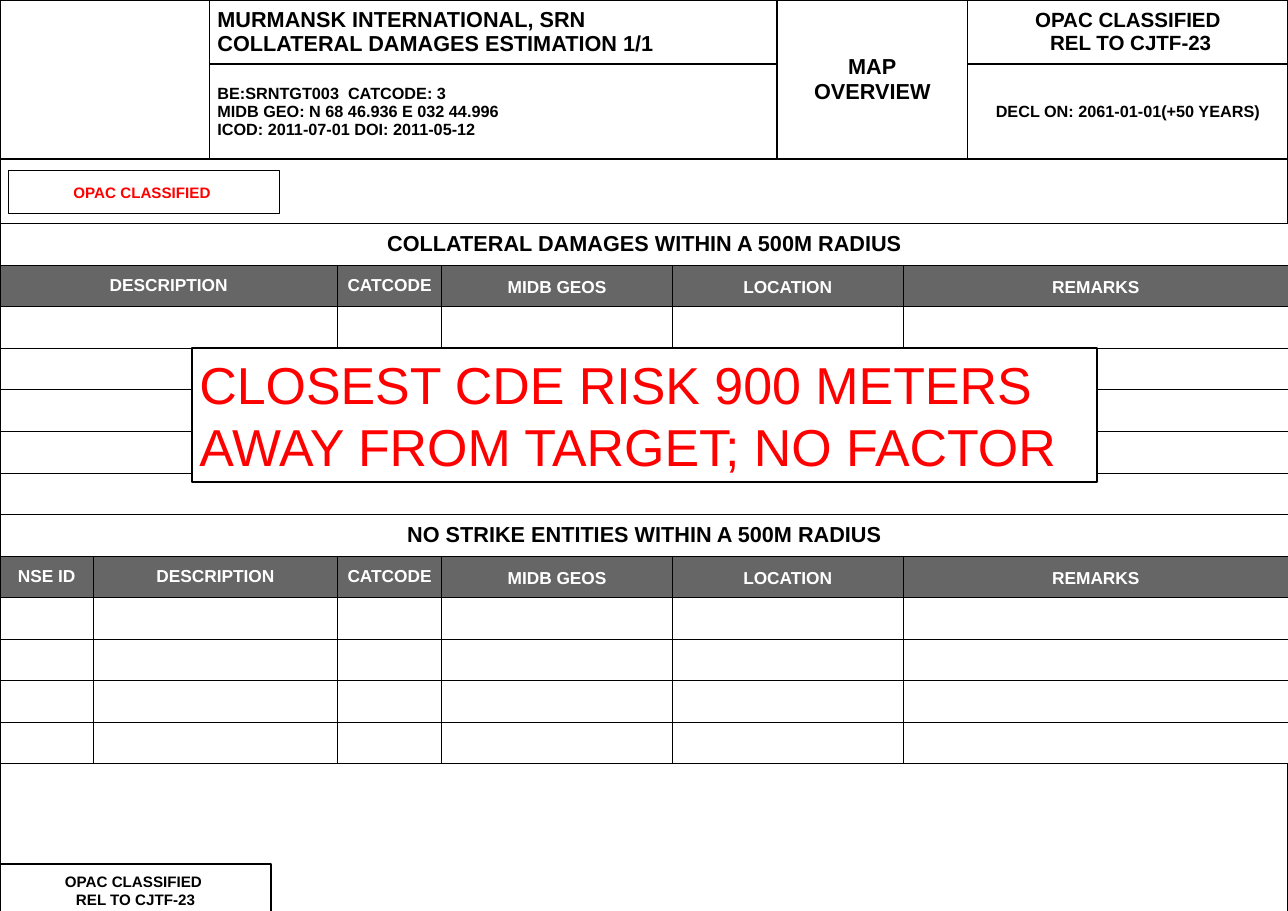
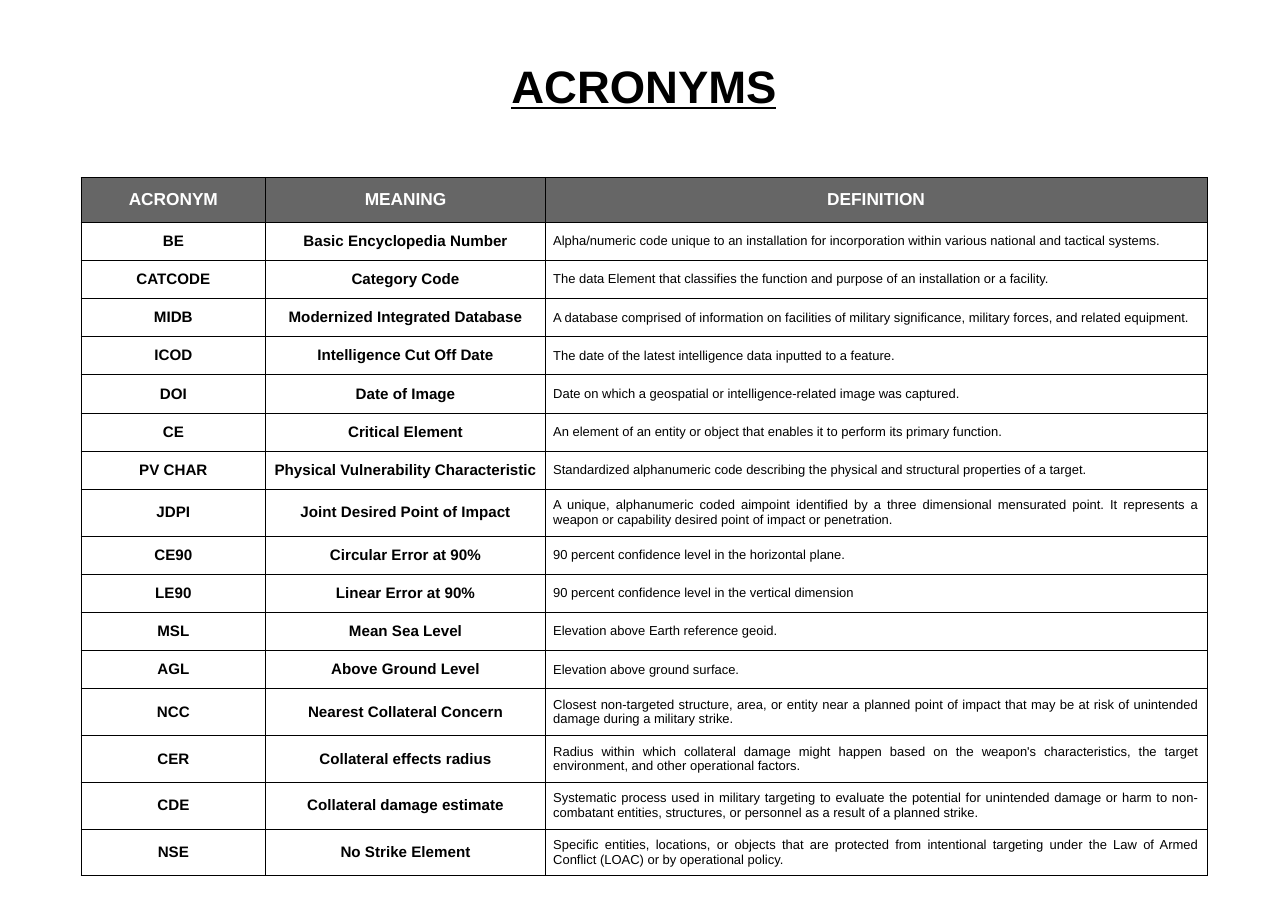
from lxml.etree import SubElement
from pptx import Presentation
from pptx.dml.color import RGBColor
from pptx.enum.shapes import MSO_SHAPE as SHAPE
from pptx.enum.text import MSO_ANCHOR as ANCHOR, PP_ALIGN as ALIGN
from pptx.oxml.ns import qn
from pptx.util import Inches, Pt

BLACK = RGBColor(0x00, 0x00, 0x00)
WHITE = RGBColor(0xFF, 0xFF, 0xFF)
RED = RGBColor(0xFF, 0x00, 0x00)
GRAY = RGBColor(0x66, 0x66, 0x66)
FONT = "Arial"
WIDTH, HEIGHT = 16.53, 11.69
INSET = 0.1

# Cell styles
TITLE = dict(size=20)
SECTION = dict(size=20, align=ALIGN.CENTER)
CLASSIFIED = dict(size=19, align=ALIGN.CENTER)
INFO = dict(size=15)
DATE = dict(size=15, align=ALIGN.CENTER)
HEADER = dict(size=16, color=WHITE, align=ALIGN.CENTER, fill=GRAY)
LOOSE_HEADER = dict(HEADER, spacing=1.15)
TERM = dict(size=14, align=ALIGN.CENTER)
DEFINITION = dict(size=12, bold=False, align=ALIGN.JUSTIFY)


class Deck:
    def __init__(self):
        self.prs = Presentation()
        self.prs.slide_width = Inches(WIDTH)
        self.prs.slide_height = Inches(HEIGHT)
        self.slide = None

    def new_slide(self):
        self.slide = self.prs.slides.add_slide(self.prs.slide_layouts[6])

    def set_text(self, tf, text, size, color=BLACK, bold=True,
                 align=ALIGN.LEFT, spacing=None, underline=None):
        tf.word_wrap = True
        tf.text = text
        for p in tf.paragraphs:
            p.alignment = align
            if spacing:
                p.line_spacing = spacing
            for r in p.runs:
                r.font.name = FONT
                r.font.size = Pt(size)
                r.font.bold = bold
                r.font.underline = underline
                r.font.color.rgb = color

    def set_insets(self, owner, x=INSET, y=INSET):
        owner.margin_left = owner.margin_right = Inches(x)
        owner.margin_top = owner.margin_bottom = Inches(y)

    def textbox(self, at, text, **style):
        tf = self.slide.shapes.add_textbox(*map(Inches, at)).text_frame
        self.set_text(tf, text, **style)
        self.set_insets(tf)
        tf.vertical_anchor = ANCHOR.MIDDLE

    def box(self, at, text, line=1.5, anchor=ANCHOR.MIDDLE, inset_y=INSET,
            **style):
        sp = self.slide.shapes.add_shape(SHAPE.RECTANGLE, *map(Inches, at))
        sp.shadow.inherit = False
        sp.fill.solid()
        sp.fill.fore_color.rgb = WHITE
        sp.line.color.rgb = BLACK
        sp.line.width = Pt(line)
        self.set_text(sp.text_frame, text, **style)
        self.set_insets(sp.text_frame, y=inset_y)
        sp.text_frame.vertical_anchor = anchor

    def border(self, cell, width):
        tc_pr = cell._tc.get_or_add_tcPr()
        for i, side in enumerate(("a:lnL", "a:lnR", "a:lnT", "a:lnB")):
            ln = SubElement(tc_pr, qn(side), w=str(Pt(width)))
            fill = SubElement(ln, qn("a:solidFill"))
            SubElement(fill, qn("a:srgbClr"), val=str(BLACK))
            tc_pr.insert(i, ln)

    def table(self, left, top, cols, rows, cells, line, spans=()):
        """cells maps (row, column) to (text, style)."""
        frame = self.slide.shapes.add_table(
            len(rows), len(cols), Inches(left), Inches(top),
            Inches(sum(cols)), Inches(sum(rows)))
        tbl = frame.table
        tbl.first_row = tbl.horz_banding = False
        for col, width in zip(tbl.columns, cols):
            col.width = Inches(width)
        for row, height in zip(tbl.rows, rows):
            row.height = Inches(height)
        for r1, c1, r2, c2 in spans:
            tbl.cell(r1, c1).merge(tbl.cell(r2, c2))
        for r in range(len(rows)):
            for c in range(len(cols)):
                cell = tbl.cell(r, c)
                text, style = cells.get((r, c), ("", {}))
                style = dict(style)
                cell.fill.solid()
                cell.fill.fore_color.rgb = style.pop("fill", WHITE)
                self.border(cell, line)
                if text:
                    self.set_text(cell.text_frame, text, **style)
                    self.set_insets(cell)
                    cell.vertical_anchor = ANCHOR.MIDDLE


def header_cells(row, names):
    """Header texts by column; the last three columns have looser lines."""
    return {(row, c): (name, LOOSE_HEADER if c > 2 else HEADER)
            for c, name in names.items()}


def collateral_slide(deck):
    deck.new_slide()

    # Page frame with title block
    frame = {
        (0, 1): ("MURMANSK INTERNATIONAL, SRN\n"
                 "COLLATERAL DAMAGES ESTIMATION 1/1", TITLE),
        (0, 2): ("MAP\nOVERVIEW", SECTION),
        (0, 3): ("OPAC CLASSIFIED\n REL TO CJTF-23", CLASSIFIED),
        (1, 1): ("BE:SRNTGT003  CATCODE: 3\n"
                 "MIDB GEO: N 68 46.936 E 032 44.996\n"
                 "ICOD: 2011-07-01 DOI: 2011-05-12", INFO),
        (1, 3): ("DECL ON: 2061-01-01(+50 YEARS)", DATE),
    }
    deck.table(0, 0, [2.69, 7.28, 2.45, 4.11], [0.82, 1.22, 9.72], frame, 1.5,
               spans=[(0, 0, 1, 0), (0, 2, 1, 2), (2, 0, 2, 3)])

    # Classification marks
    deck.box((0, 11.09, 3.48, 0.67), "OPAC CLASSIFIED \nREL TO CJTF-23",
             size=14, align=ALIGN.CENTER)
    deck.box((0.11, 2.19, 3.48, 0.55), "OPAC CLASSIFIED ",
             size=14, color=RED, align=ALIGN.CENTER)

    # Collateral damages and no strike entities
    shared = {2: "CATCODE", 3: "MIDB GEOS", 4: "LOCATION", 5: "REMARKS"}
    cells = {
        (0, 0): ("COLLATERAL DAMAGES WITHIN A 500M RADIUS", SECTION),
        (7, 0): ("NO STRIKE ENTITIES WITHIN A 500M RADIUS", SECTION),
        **header_cells(1, {0: "DESCRIPTION", **shared}),
        **header_cells(8, {0: "NSE ID", 1: "DESCRIPTION", **shared}),
    }
    spans = [(r, 0, r, 5) for r in (0, 6, 7)]
    spans += [(r, 0, r, 1) for r in range(1, 6)]
    deck.table(0, 2.87, [1.2, 3.13, 1.34, 2.96, 2.96, 4.95], [6.93 / 13] * 13,
               cells, 0.75, spans)

    # Finding
    deck.box((2.46, 4.47, 11.62, 1.72),
             "CLOSEST CDE RISK 900 METERS AWAY FROM TARGET; NO FACTOR",
             line=2, anchor=ANCHOR.TOP, inset_y=0.05, size=48, color=RED,
             bold=False)


ACRONYMS = [
    ("BE", "Basic Encyclopedia Number",
     "Alpha/numeric code unique to an installation for incorporation within "
     "various national and tactical systems."),
    ("CATCODE", "Category Code",
     "The data Element that classifies the function and purpose of an "
     "installation or a facility."),
    ("MIDB", "Modernized Integrated Database",
     "A database comprised of information on facilities of military "
     "significance, military forces, and related equipment."),
    ("ICOD", "Intelligence Cut Off Date",
     "The date of the latest intelligence data inputted to a feature."),
    ("DOI", "Date of Image",
     "Date on which a geospatial or intelligence-related image was captured."),
    ("CE", "Critical Element",
     "An element of an entity or object that enables it to perform its "
     "primary function."),
    ("PV CHAR", "Physical Vulnerability Characteristic",
     "Standardized alphanumeric code describing the physical and structural "
     "properties of a target."),
    ("JDPI", "Joint Desired Point of Impact",
     "A unique, alphanumeric coded aimpoint identified by a three dimensional "
     "mensurated point. It represents a weapon or capability desired point of "
     "impact or penetration."),
    ("CE90", "Circular Error at 90%",
     "90 percent confidence level in the horizontal plane."),
    ("LE90", "Linear Error at 90%",
     "90 percent confidence level in the vertical dimension"),
    ("MSL", "Mean Sea Level", "Elevation above Earth reference geoid."),
    ("AGL", "Above Ground Level", "Elevation above ground surface."),
    ("NCC", "Nearest Collateral Concern",
     "Closest non-targeted structure, area, or entity near a planned point of "
     "impact that may be at risk of unintended damage during a military "
     "strike."),
    ("CER", "Collateral effects radius",
     "Radius within which collateral damage might happen based on the "
     "weapon's characteristics, the target environment, and other operational "
     "factors."),
    ("CDE", "Collateral damage estimate",
     "Systematic process used in military targeting to evaluate the potential "
     "for unintended damage or harm to non-combatant entities, structures, or "
     "personnel as a result of a planned strike."),
    ("NSE", "No Strike Element",
     "Specific entities, locations, or objects that are protected from "
     "intentional targeting under the Law of Armed Conflict (LOAC) or by "
     "operational policy."),
]


def acronyms_slide(deck):
    deck.new_slide()

    # Title
    deck.textbox((0, 0.06, WIDTH, 2.06), "ACRONYMS", size=42,
                 align=ALIGN.CENTER, underline=True)

    # Glossary
    cells = {(0, c): (name, HEADER)
             for c, name in enumerate(("ACRONYM", "MEANING", "DEFINITION"))}
    for r, entry in enumerate(ACRONYMS, start=1):
        for c, style in enumerate((TERM, TERM, DEFINITION)):
            cells[r, c] = (entry[c], style)
    deck.table(1.04, 2.28, [2.37, 3.59, 8.49], [0.57] + [0.49] * len(ACRONYMS),
               cells, 0.75)


def main():
    deck = Deck()
    collateral_slide(deck)
    acronyms_slide(deck)
    deck.prs.save("out.pptx")


if __name__ == "__main__":
    main()
